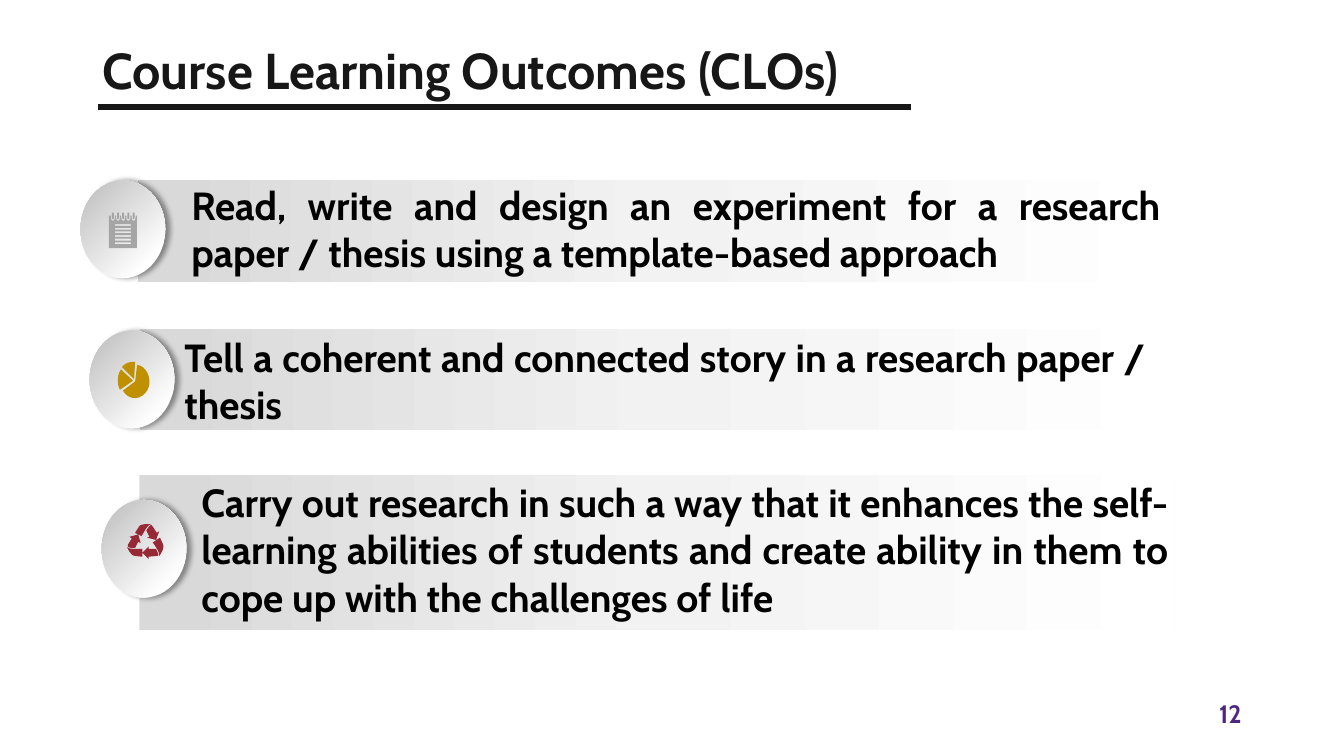
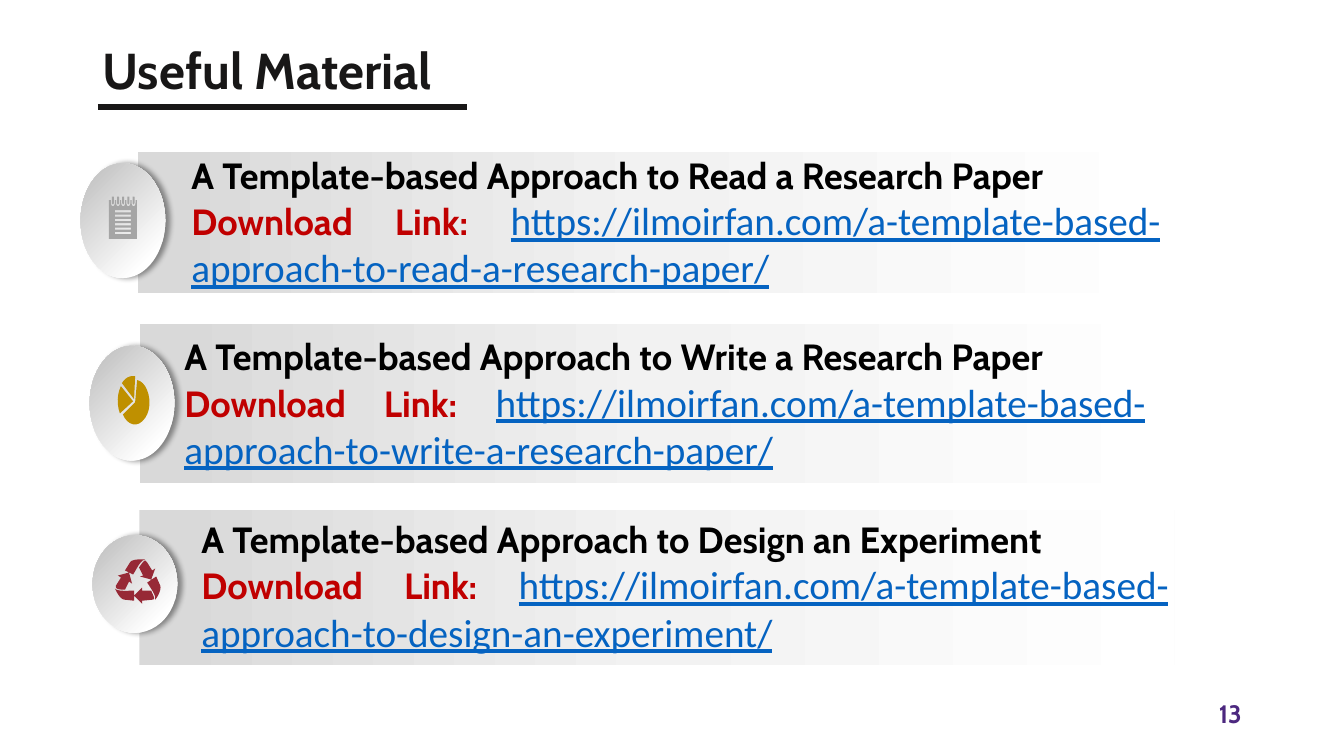
from dataclasses import dataclass

from lxml.etree import SubElement
from pptx import Presentation
from pptx.dml.color import RGBColor
from pptx.enum.shapes import MSO_CONNECTOR, MSO_SHAPE
from pptx.enum.text import MSO_ANCHOR, PP_ALIGN
from pptx.oxml.ns import qn
from pptx.util import Pt


BLACK, INK, PURPLE, RED, BLUE = "000000", "181717", "4C287F", "C00000", "0563C1"
BAND_STOPS = [(3, "D9D9D9"), (50, "F2F2F2"), (100, "FFFFFF")]
BADGE_STOPS = [(3, "BFBFBF"), (83, "FFFFFF")]
LINK_START = "https://ilmoirfan.com/a-template-based-approach-to-"


def colour(code):
    return RGBColor.from_string(code)


def notepad_outline():
    rings = [4 + 5.2 * step for step in range(5)]
    lines = [11.3 + 3.6 * step for step in range(6)]
    body = [(0, 3)]
    for x in rings:
        body += [(x - 2, 3), (x - 2, 5), (x - 2, 7, x - 1, 8, x, 8),
                 (x + 1, 8, x + 2, 7, x + 2, 5), (x + 2, 3)]
    body += [(28, 3), (28, 35), (0, 35)]
    bars = [[(6, y), (22, y), (22, y + 1.8), (6, y + 1.8)] for y in lines]
    pins = [[(x, 0), (x + 1, 0, x + 1, 0, x + 1, 1), (x + 1, 5),
             (x + 1, 7, x - 1, 7, x - 1, 5), (x - 1, 1),
             (x - 1, 0, x - 1, 0, x, 0)] for x in rings]
    return [body] + bars + pins


PIE = [
    [(3, 10), (15, 25), (2, 37), (-1, 29, -1, 18, 3, 10)],
    [(19, 4), (25, 5, 30, 13, 31, 23), (32, 34, 28, 43, 21, 47),
     (15, 50, 8, 46, 5, 38), (17, 26)],
    [(15, 0), (17, 0), (16, 23), (4, 7), (7, 2, 11, 0, 15, 0)],
]
RECYCLE = [
    [(0, 29), (3, 32, 12, 31, 19, 31), (19, 41), (10, 40), (6, 40, 3, 35, 0, 29)],
    [(27, 28), (27, 31), (36, 31), (38, 36, 41, 40, 37, 40), (27, 41), (27, 44),
     (19, 36)],
    [(41, 17), (45, 26), (46, 29, 44, 35, 40, 40), (41, 36, 36, 29, 32, 23)],
    [(14, 13), (17, 24), (14, 22), (10, 30), (5, 30, 0, 30, 1, 26), (6, 18), (3, 16)],
    [(30, 1), (30, 1, 31, 2, 32, 3), (37, 11), (40, 9), (36, 20), (25, 17), (28, 16),
     (24, 8), (26, 5, 28, 2, 30, 1)],
    [(25, 0), (30, 0), (25, 1, 22, 9, 18, 15), (10, 11), (15, 3),
     (16, 1, 20, 0, 25, 0)],
]


@dataclass
class Topic:
    outline: list
    size: tuple
    fill: str
    band_left: float
    text_left: float
    text_width: float


NOTES = Topic(notepad_outline(), (28, 35), "A5A5A5", 98.6, 129.6, 706.3)
STORY = Topic(PIE, (31, 48), "BF9000", 100, 124.6, 700.6)
REUSE = Topic(RECYCLE, (45, 44), "972936", 99.6, 136.8, 704.9)


def flatten(contour, steps=6):
    points = [contour[0]]
    for segment in contour[1:]:
        if len(segment) == 2:
            points.append(segment)
            continue
        corners = [points[-1], segment[:2], segment[2:4], segment[4:]]
        for step in range(1, steps + 1):
            t = step / steps
            weights = [(1 - t) ** 3, 3 * t * (1 - t) ** 2, 3 * t * t * (1 - t), t ** 3]
            points.append(tuple(sum(w * c[axis] for w, c in zip(weights, corners))
                                for axis in (0, 1)))
    return points


class OutcomeDeck:
    """Holds the deck style and draws on the current page."""

    font = "Cabin"

    def __init__(self):
        self.deck = Presentation()
        self.deck.slide_width, self.deck.slide_height = Pt(960), Pt(540)

    def add_page(self, title, number, rule_end):
        self.page = self.deck.slides.add_slide(self.deck.slide_layouts[5])
        self.shapes = self.page.shapes
        box = self.shapes.title
        box.left, box.top, box.width, box.height = Pt(66), Pt(0), Pt(828), Pt(104.4)
        box.text_frame.vertical_anchor = MSO_ANCHOR.MIDDLE
        para = box.text_frame.paragraphs[0]
        para.alignment, para.line_spacing = PP_ALIGN.LEFT, 0.9
        self.span(para, title, 36, INK)
        self.rule(70, rule_end, 76.3)
        self.text([[(number, 18, PURPLE)]], 678, 495.4, 216, 28.8, PP_ALIGN.RIGHT)

    def span(self, para, words, size, code, font=None):
        span = para.add_run()
        span.text = words
        span.font.name, span.font.size = font or self.font, Pt(size)
        span.font.color.rgb = colour(code)
        span.font.bold = font is None
        span.font.underline = font is not None

    def text(self, paragraphs, left, top, width, height, align=PP_ALIGN.JUSTIFY):
        box = self.shapes.add_textbox(Pt(left), Pt(top), Pt(width), Pt(height))
        frame = box.text_frame
        frame.word_wrap = True
        for index, spans in enumerate(paragraphs):
            para = frame.add_paragraph() if index else frame.paragraphs[0]
            para.alignment = align
            for span in spans:
                self.span(para, *span)

    def rule(self, start, end, y):
        line = self.shapes.add_connector(
            MSO_CONNECTOR.STRAIGHT, Pt(start), Pt(y), Pt(end), Pt(y))
        line.line.color.rgb, line.line.width = colour(INK), Pt(4.5)
        SubElement(line._element.spPr, qn("a:effectLst"))

    def shaded(self, kind, left, top, width, height, stops):
        shape = self.shapes.add_shape(kind, Pt(left), Pt(top), Pt(width), Pt(height))
        shape.shadow.inherit = False
        shape.line.fill.background()
        shape.fill.gradient()
        shape.fill.gradient_angle = 0
        gradient = shape._element.spPr.find(qn("a:gradFill"))
        stop_list = gradient.find(qn("a:gsLst"))
        for stop in list(stop_list):
            stop_list.remove(stop)
        for position, code in stops:
            stop = SubElement(stop_list, qn("a:gs"), pos=str(position * 1000))
            SubElement(stop, qn("a:srgbClr"), val=code)
        return shape, gradient

    def badge(self, left, top, height):
        shape, gradient = self.shaded(
            MSO_SHAPE.OVAL, left, top, 60.5, height, BADGE_STOPS)
        gradient.remove(gradient.find(qn("a:lin")))
        focus = SubElement(gradient, qn("a:path"), path="circle")
        SubElement(focus, qn("a:fillToRect"), r="100000", b="100000")
        effects = shape._element.spPr.find(qn("a:effectLst"))
        shadow = SubElement(effects, qn("a:outerShdw"), blurRad=str(Pt(4)),
                            dist=str(Pt(3)), dir="0", algn="l", rotWithShape="0")
        tint = SubElement(shadow, qn("a:srgbClr"), val=BLACK)
        SubElement(tint, qn("a:alpha"), val="40000")

    def icon(self, topic, left, top, width, height):
        across, down = width / topic.size[0], height / topic.size[1]
        builder = None
        for contour in topic.outline:
            points = [(Pt(left + x * across), Pt(top + y * down))
                      for x, y in flatten(contour)]
            if builder is None:
                builder = self.shapes.build_freeform(*points[0])
            else:
                builder.move_to(*points[0])
            builder.add_line_segments(points[1:], close=True)
        shape = builder.convert_to_shape()
        shape.shadow.inherit = False
        shape.fill.solid()
        shape.fill.fore_color.rgb = colour(topic.fill)
        shape.line.fill.background()

    def row(self, topic, paragraphs, band, text, badge, icon):
        self.shaded(MSO_SHAPE.RECTANGLE, topic.band_left, band[0], 739.4, band[1],
                    BAND_STOPS)
        self.text(paragraphs, topic.text_left, text[0], topic.text_width, text[1])
        self.badge(*badge)
        self.icon(topic, *icon)


def outcome(words):
    return [[(words, 28, BLACK)]]


def material(title, link_end):
    return [[(title, 26, BLACK)],
            [("Download Link: ", 26, RED),
             (LINK_START + link_end, 28, BLUE, "Calibri")]]


def main():
    deck = OutcomeDeck()

    deck.add_page("Course Learning Outcomes (CLOs)", "12", 651)
    deck.row(NOTES, outcome("Read, write and design an experiment for a research paper "
                            "/ thesis using a template-based approach"),
             (128.9, 72.7), (126, 75), (57.6, 128.9, 69.8), (77.8, 151.9, 19.9, 25.4))
    deck.row(STORY, outcome("Tell a coherent and connected story in a research paper "
                            "/ thesis"),
             (234.7, 72.7), (234.7, 75), (64.1, 236.2, 69.8), (84.2, 258.5, 22.5, 25.9))
    deck.row(REUSE, outcome("Carry out research in such a way that it enhances the "
                            "self-learning abilities of students and create ability "
                            "in them to cope up with the challenges of life"),
             (339.1, 110.9), (338.4, 108.7), (72.7, 357.1, 69.8),
             (90.7, 374.4, 25.9, 25))

    deck.add_page("Useful Material", "13", 333.4)
    deck.row(NOTES, material("A Template-based Approach to Read a Research Paper",
                             "read-a-research-paper/"),
             (108.7, 100.8), (105.8, 106.6), (57.6, 116.6, 82.1),
             (77.8, 140.4, 19.9, 30.2))
    deck.row(STORY, material("A Template-based Approach to Write a Research Paper",
                             "write-a-research-paper/"),
             (231.8, 113), (235.4, 106.6), (64.1, 247, 82.1), (84.2, 268.6, 22.5, 34.6))
    deck.row(REUSE, material("A Template-based Approach to Design an Experiment",
                             "design-an-experiment/"),
             (364.3, 110.9), (365.8, 106.6), (66.2, 382.3, 69.8),
             (82.1, 399.6, 32.4, 31.7))

    deck.deck.save("out.pptx")


if __name__ == "__main__":
    main()
